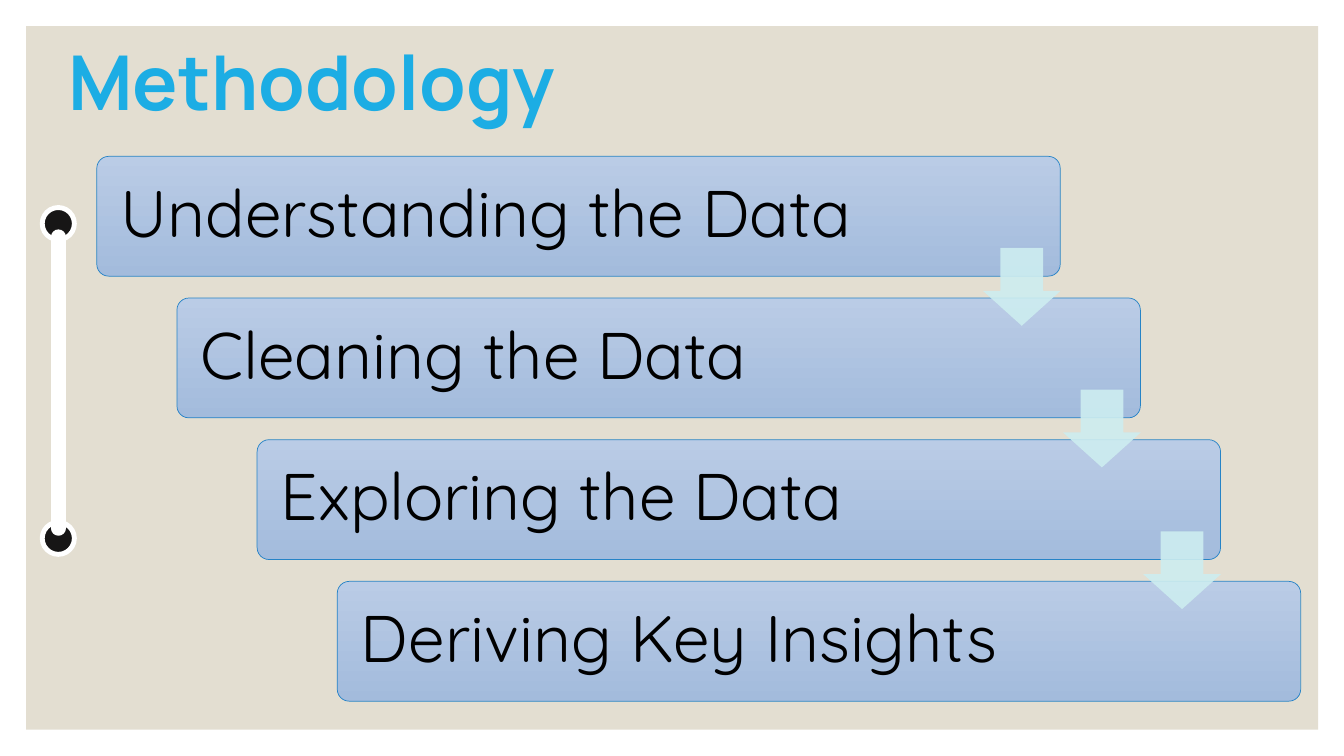
from lxml import etree
from pptx import Presentation
from pptx import util as u
from pptx.dml.color import RGBColor
from pptx.enum import shapes, text
from pptx.oxml.ns import qn

STEPS = ["Understanding the Data", "Cleaning the Data",
         "Exploring the Data", "Deriving Key Insights"]
STEP_LEFT, STEP_TOP = 2.44, 3.94
STEP_WIDTH, STEP_HEIGHT = 24.28, 3.02
SHIFT_X, SHIFT_Y = 2.02, 3.57
ARROW_DX, ARROW_DY, ARROW_SIZE = 22.33, 2.31, 1.96


def rgb(code):
    return RGBColor.from_string(code)


class MethodologySlide:
    """Holds the slide and its style; all lengths are in centimetres."""
    panel, ink, white = "E3DED1", "171616", "FFFFFF"
    heading, step_border, arrow_fill = "1CADE4", "2683C6", "CDEDF0"
    step_gradient = "BACCE6", "A3BBDC"

    def __init__(self, deck):
        self.slide = deck.slides.add_slide(deck.slide_layouts[6])

    def shape(self, preset, left, top, width, height, fill=None, border=None, weight=0):
        figure = self.slide.shapes.add_shape(
            preset, u.Cm(left), u.Cm(top), u.Cm(width), u.Cm(height))
        figure.shadow.inherit = False
        if fill:
            figure.fill.solid()
            figure.fill.fore_color.rgb = rgb(fill)
        if border:
            figure.line.color.rgb = rgb(border)
            figure.line.width = u.Pt(weight)
        else:
            figure.line.fill.background()
        return figure

    def set_words(self, frame, words, font, size, color, spacing, bold=False):
        frame.word_wrap = True
        paragraph = frame.paragraphs[0]
        paragraph.text = words
        paragraph.alignment = text.PP_ALIGN.LEFT
        paragraph.line_spacing = spacing
        paragraph.font.name = font
        paragraph.font.size = u.Pt(size)
        paragraph.font.bold = bold
        paragraph.font.color.rgb = rgb(color)

    def title(self, words, left, top, width, height):
        box = self.slide.shapes.add_textbox(
            u.Cm(left), u.Cm(top), u.Cm(width), u.Cm(height))
        self.set_words(box.text_frame, words, "Manrope", 54, self.heading, 0.7, bold=True)

    def step(self, words, left, top):
        card = self.shape(shapes.MSO_SHAPE.ROUNDED_RECTANGLE, left, top,
                          STEP_WIDTH, STEP_HEIGHT, border=self.step_border, weight=0.5)
        card.adjustments[0] = 0.1
        card.fill.gradient()
        card.fill.gradient_angle = 270
        for stop, color, position in zip(card.fill.gradient_stops, self.step_gradient, (0, 1)):
            stop.color.rgb = rgb(color)
            stop.position = position
        frame = card.text_frame
        frame.vertical_anchor = text.MSO_ANCHOR.MIDDLE
        frame.margin_left = frame.margin_right = u.Cm(0.51)
        frame.margin_top = frame.margin_bottom = u.Cm(0.51)
        self.set_words(frame, words, "Quicksand", 47, "000000", 0.9)

    def arrow(self, left, top):
        arrow = self.shape(shapes.MSO_SHAPE.DOWN_ARROW, left, top,
                           ARROW_SIZE, ARROW_SIZE, self.arrow_fill)
        arrow.adjustments[0] = 0.55
        arrow.adjustments[1] = 0.45
        color = arrow._element.spPr.find(qn("a:solidFill"))[0]
        etree.SubElement(color, qn("a:alpha"), val="90000")

    def timeline(self, center, dot_tops, start, end):
        """Draws a dot at each top and a round-ended bar between them."""
        diameter = 0.81
        for top in dot_tops:
            self.shape(shapes.MSO_SHAPE.OVAL, center - diameter / 2, top,
                       diameter, diameter, self.ink, self.white, 3.5)
        bar = self.slide.shapes.add_connector(
            shapes.MSO_CONNECTOR.STRAIGHT, u.Cm(center), u.Cm(start), u.Cm(center), u.Cm(end))
        bar.line.color.rgb = rgb(self.white)
        bar.line.width = u.Pt(10.75)
        properties = bar._element.spPr
        properties.find(qn("a:ln")).set("cap", "rnd")
        etree.SubElement(properties, qn("a:effectLst"))


def main():
    deck = Presentation()
    deck.slide_width, deck.slide_height = u.Cm(33.87), u.Cm(19.05)
    page = MethodologySlide(deck)
    page.shape(shapes.MSO_SHAPE.RECTANGLE, 0.66, 0.66, 32.56, 17.73, page.panel)

    corners = [(STEP_LEFT + i * SHIFT_X, STEP_TOP + i * SHIFT_Y) for i in range(len(STEPS))]
    for words, (left, top) in zip(STEPS, corners):
        page.step(words, left, top)
    for left, top in corners[:-1]:
        page.arrow(left + ARROW_DX, top + ARROW_DY)

    page.title("Methodology", 1.47, 1.37, 13.26, 1.9)
    page.timeline(1.47, (5.23, 13.16), 5.97, 13.31)
    deck.save("out.pptx")


if __name__ == "__main__":
    main()
